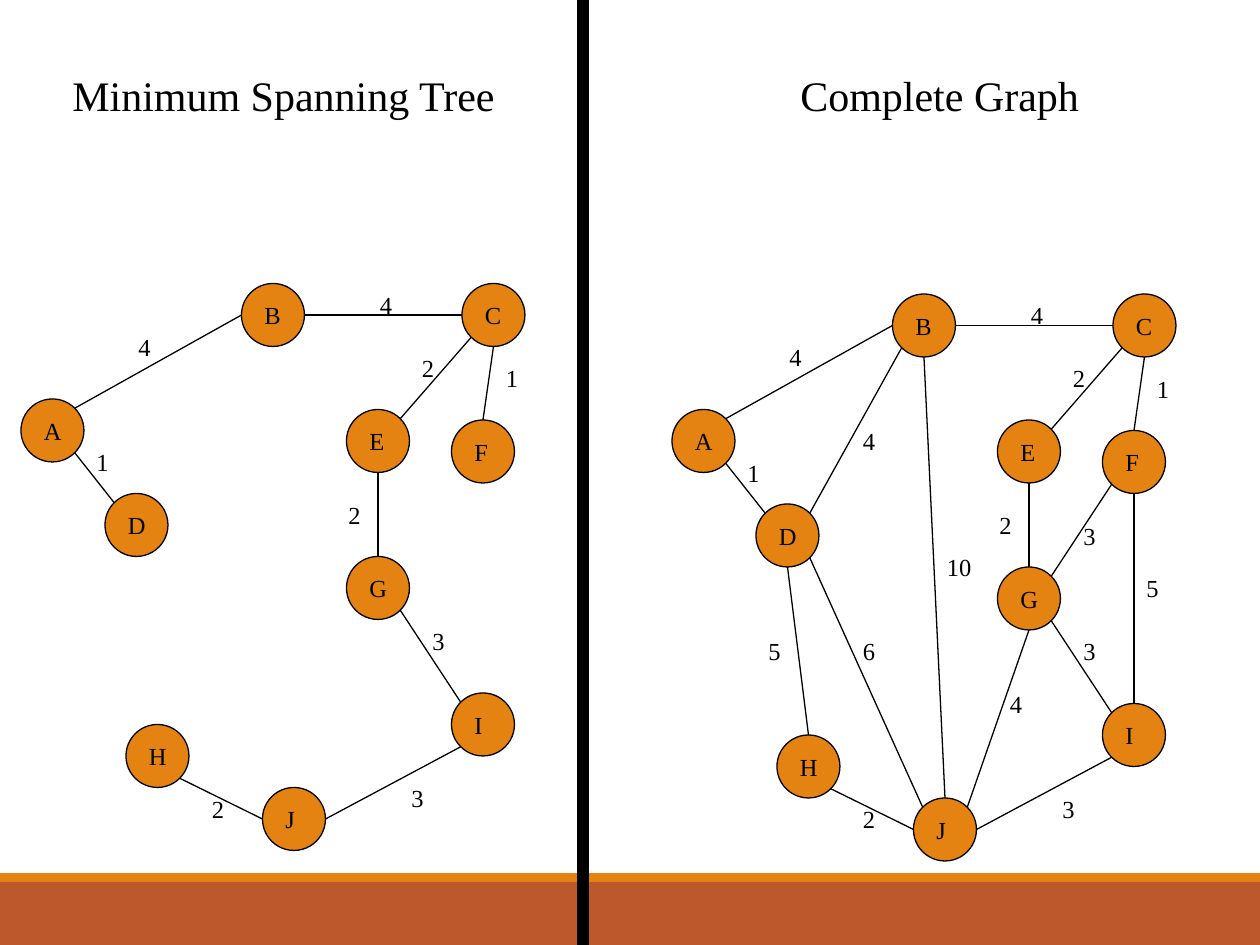
"""Build a slide that sets a minimum spanning tree beside its complete graph."""
from math import sqrt

from lxml.etree import SubElement
from pptx import Presentation
from pptx.dml.color import RGBColor
from pptx.enum.shapes import MSO_CONNECTOR, MSO_SHAPE
from pptx.enum.text import MSO_ANCHOR, MSO_AUTO_SIZE, PP_ALIGN
from pptx.oxml.ns import qn
from pptx.util import Pt

BLACK, ORANGE, RUST = "000000", "E48312", "BD582C"
FONT = "Times New Roman"
NODE_SIZE = 36
LABEL_HEIGHT = 24
LABEL_OFFSET = 6
LABEL_SIZE = 14
TITLE_SIZE = 24

BARS = [
    (0, 504, 720, 36, RUST, None),
    (0, 499, 720, 5, ORANGE, None),
    (330, 0, 6, 540, BLACK, BLACK),
]

# name: left, top, label width
NODES = {
    "A": (12, 228, 24.5),
    "B": (138, 162, 23.7),
    "C": (264, 162, 23.7),
    "D": (60, 282, 24.5),
    "E": (198, 234, 23),
    "F": (258, 240, 22.2),
    "G": (198, 318, 24.5),
    "H": (72, 414, 24.5),
    "I": (258, 396, 19.1),
    "J": (150, 450, 19.8),
}

TREE_EDGES = [
    ("B", "E", "C", "W", "4", 210, 162),
    ("E", "S", "G", "N", "2", 192, 282),
    ("C", "SW", "E", "NE", "2", 234, 198),
    ("C", "S", "F", "N", "1", 282, 204),
    ("J", "E", "I", "SW", "3", 228, 444),
    ("J", "W", "H", "SE", "2", 114, 450),
    ("D", "NW", "A", "SE", "1", 48, 252),
    ("I", "NW", "G", "SE", "3", 240, 354),
    ("A", "NE", "B", "W", "4", 72, 186),
]
OTHER_EDGES = [
    ("B", "SW", "D", "NE", "4", 114, 234),
    ("D", "SE", "J", "NW", "6", 114, 354),
    ("J", "NE", "G", "S", "4", 198, 384),
    ("F", "SW", "G", "NE", "3", 240, 288),
    ("B", "S", "J", "N", "10", 162, 306),
    ("F", "S", "I", "N", "5", 276, 318),
    ("D", "S", "H", "N", "5", 60, 354),
]

GRAPHS = [
    ("Minimum Spanning Tree", (24, 36, 276, 36), (0, 0), TREE_EDGES),
    ("Complete Graph", (432, 36, 210, 36), (372, 6), TREE_EDGES + OTHER_EDGES),
]


def color(value):
    return RGBColor.from_string(value)


def add_block(s, kind, box, fill, line):
    sp = s.shapes.add_shape(kind, *map(Pt, box))
    sp.shadow.inherit = False
    sp.fill.solid()
    sp.fill.fore_color.rgb = color(fill)
    if line:
        sp.line.color.rgb = color(line)
        sp.line.width = Pt(0.75)
    else:
        sp.line.fill.background()


def set_text(sp, text, size, align, wrap):
    tf = sp.text_frame
    frame_format = {
        "word_wrap": wrap,
        "auto_size": MSO_AUTO_SIZE.SHAPE_TO_FIT_TEXT,
        "vertical_anchor": MSO_ANCHOR.TOP,
    }
    for name, value in frame_format.items():
        setattr(tf, name, value)
    p = tf.paragraphs[0]
    p.alignment = align
    r = p.add_run()
    r.text = text
    for name, value in {"name": FONT, "size": Pt(size)}.items():
        setattr(r.font, name, value)
    r.font.color.rgb = color(BLACK)


def add_label(s, text, left, top, width):
    sp = s.shapes.add_textbox(*map(Pt, (left, top, width, LABEL_HEIGHT)))
    set_text(sp, text, LABEL_SIZE, PP_ALIGN.LEFT, False)


def rim_point(node, side, dx, dy):
    left, top, _ = NODES[node]
    radius = NODE_SIZE / 2
    reach = radius / sqrt(len(side))
    x = left + radius + reach * (("E" in side) - ("W" in side))
    y = top + radius + reach * (("S" in side) - ("N" in side))
    return Pt(x + dx), Pt(y + dy)


def add_edge(s, start, end):
    line = s.shapes.add_connector(MSO_CONNECTOR.STRAIGHT, *start, *end)
    line.line.color.rgb = color(BLACK)
    line.line.width = Pt(0.75)
    SubElement(line._element.spPr, qn("a:effectLst"))


def add_graph(s, dx, dy, edges):
    for left, top, _ in NODES.values():
        box = (left + dx, top + dy, NODE_SIZE, NODE_SIZE)
        add_block(s, MSO_SHAPE.OVAL, box, ORANGE, BLACK)
    for a, a_side, b, b_side, weight, x, y in edges:
        add_edge(s, rim_point(a, a_side, dx, dy), rim_point(b, b_side, dx, dy))
        add_label(s, weight, x + dx, y + dy, 14.4 + 7 * len(weight))
    for name, (left, top, width) in NODES.items():
        add_label(s, name, left + dx + LABEL_OFFSET, top + dy + LABEL_OFFSET, width)


def main():
    prs = Presentation()
    prs.slide_width, prs.slide_height = Pt(720), Pt(540)
    s = prs.slides.add_slide(prs.slide_layouts[5])
    for *box, fill, line in BARS:
        add_block(s, MSO_SHAPE.RECTANGLE, box, fill, line)
    for i, (title, box, (dx, dy), edges) in enumerate(GRAPHS):
        add_graph(s, dx, dy, edges)
        sp = s.shapes.add_textbox(0, 0, 0, 0) if i else s.shapes.title
        for name, value in zip(("left", "top", "width", "height"), box):
            setattr(sp, name, Pt(value))
        set_text(sp, title, TITLE_SIZE, PP_ALIGN.CENTER, True)
    prs.save("out.pptx")


if __name__ == "__main__":
    main()
